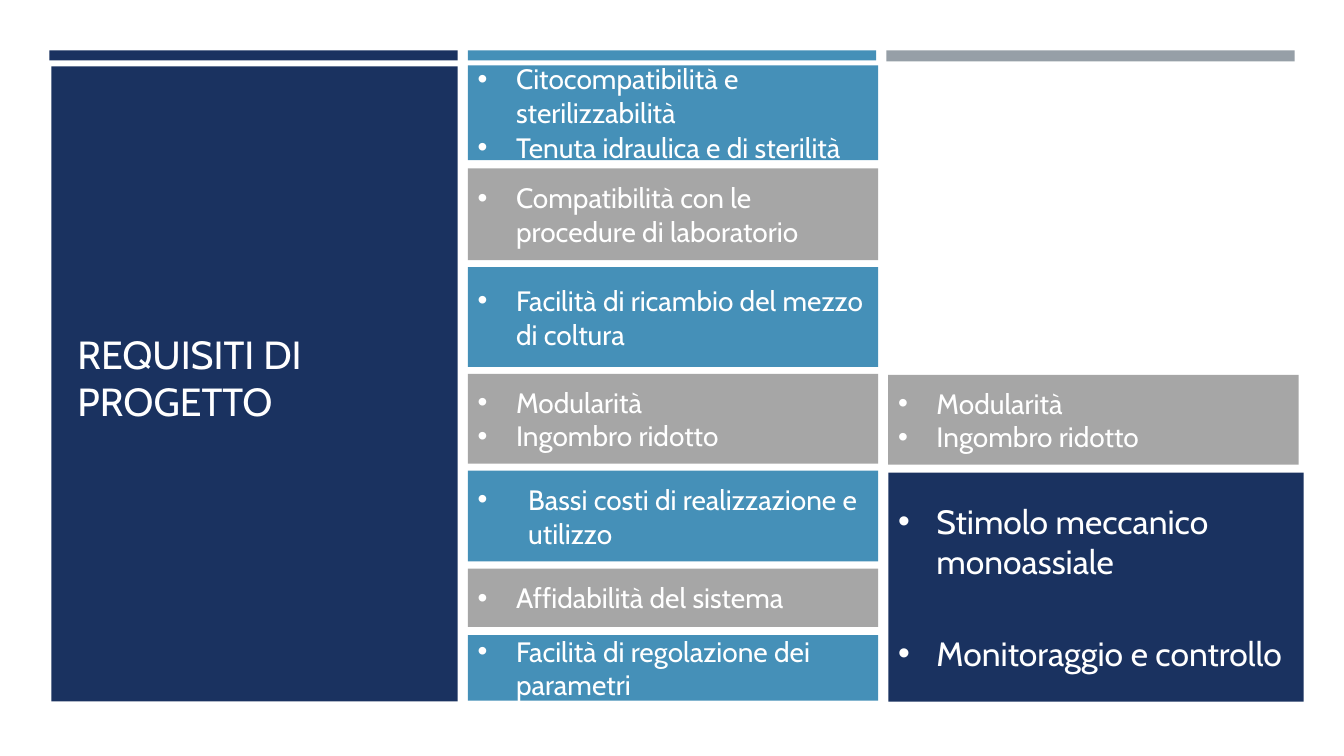
import pptx
import pptx.util
import pptx.dml.color
import pptx.enum.shapes
import pptx.enum.text
from lxml import etree

PX = 9144  # 100 px to the inch
NAVY, BLUE, GREY, SLATE, WHITE = "1A3260", "4590B8", "A6A6A6", "969FA7", "FFFFFF"
FONT = "Cabin"

# Content
TITLE = "REQUISITI DI PROGETTO"
BARS = [(49, 10, NAVY), (464, 10, BLUE), (879, 11, SLATE)]  # left, height, fill
SHARED = ["Modularità", "Ingombro ridotto"]
NEEDS = [  # top, height, lines, format
    (65, 94, ["Citocompatibilità e sterilizzabilità ",
              "Tenuta idraulica e di sterilità"], {"before": 1}),
    (167, 91, ["Compatibilità con le procedure di laboratorio"], {}),
    (265, 99, ["Facilità di ricambio del mezzo di coltura"], {}),
    (371, 89, SHARED, {}),
    (467, 90, ["Bassi costi di realizzazione e utilizzo"],
     {"indent": 50, "after": [8]}),
    (564, 58, ["Affidabilità del sistema"], {}),
    (630, 65, ["Facilità di regolazione dei parametri"], {}),
]
GOALS = ["Stimolo meccanico monoassiale ", "Monitoraggio e controllo"]

deck = pptx.Presentation()
deck.slide_width, deck.slide_height = 1333 * PX, 750 * PX
slide = deck.slides.add_slide(deck.slide_layouts[6])


def color(code):
    return pptx.dml.color.RGBColor.from_string(code)


def block(left, top, width, height, fill):
    shape = slide.shapes.add_shape(
        pptx.enum.shapes.MSO_SHAPE.RECTANGLE,
        left * PX, top * PX, width * PX, height * PX)
    shape.shadow.inherit = False
    shape.fill.solid()
    shape.fill.fore_color.rgb = color(fill)
    shape.line.fill.background()
    return shape


def write(shape, lines, size=20, indent=0, before=0, after=(),
          anchor=pptx.enum.text.MSO_ANCHOR.MIDDLE):
    frame = shape.text_frame
    frame.word_wrap = True
    frame.vertical_anchor = anchor
    for i, line in enumerate(lines):
        para = frame.add_paragraph() if i else frame.paragraphs[0]
        para.alignment = pptx.enum.text.PP_ALIGN.LEFT
        if indent:
            props = para._p.get_or_add_pPr()
            props.set("marL", str(indent * PX))
            props.set("indent", str(-indent * PX))
            for tag, key, value in (("buFont", "typeface", "Arial"),
                                    ("buChar", "char", "•")):
                etree.SubElement(props, pptx.oxml.ns.qn("a:" + tag)).set(key, value)
        if i and before:
            para.space_before = pptx.util.Pt(before)
        if i < len(after):
            para.space_after = pptx.util.Pt(after[i])
        run = para.add_run()
        run.text = line
        run.font.size = pptx.util.Pt(size)
        run.font.name = FONT
        run.font.color.rgb = color(WHITE)


# Top bars
for left, height, fill in BARS:
    block(left, 50, 405, height, fill)

# Title panel
block(51, 66, 403, 630, NAVY)
title = slide.shapes.add_textbox(67 * PX, 323 * PX, 372 * PX, 104 * PX)
write(title, [TITLE], size=28, anchor=pptx.enum.text.MSO_ANCHOR.TOP)

# Middle column, alternating fills
for i, (top, height, lines, style) in enumerate(NEEDS):
    box = block(464, top, 407, height, GREY if i % 2 else BLUE)
    write(box, lines, **{"indent": 38, **style})

# Right column
write(block(881, 469, 412, 227, NAVY), GOALS, size=24, indent=38, after=[37, 8])
write(block(881, 372, 407, 89, GREY), SHARED, indent=38)

deck.save("out.pptx")
